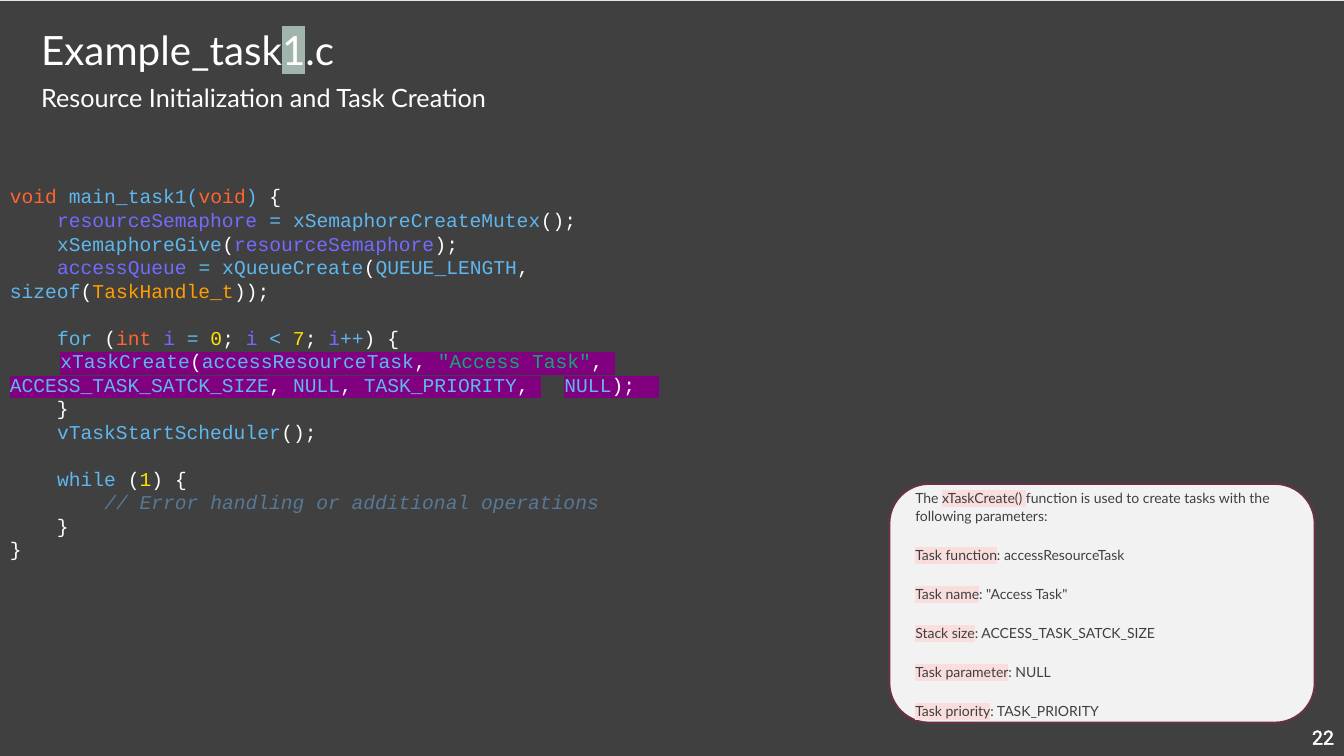
from dataclasses import dataclass
from typing import NamedTuple

import pptx
import pptx.dml.color
import pptx.enum.shapes
import pptx.enum.text
import pptx.oxml
import pptx.oxml.ns
import pptx.util
from pptx.util import Inches

COLOURS = {
    "background": "404040", "white": "FFFFFF", "sage": "A2B5AC",
    "card": "F2F2F2", "card_line": "673248", "pink": "FADDDD", "purple": "800080",
    "type": "FF652F", "name": "5EB7EE", "variable": "746AFF", "number": "FFE400",
    "string": "14A76C", "handle": "FF9D00", "comment": "577997",
}
ANCHOR = pptx.enum.text.MSO_ANCHOR
ALIGN = pptx.enum.text.PP_ALIGN
SHAPES = pptx.enum.shapes.MSO_SHAPE
CODE_PITCH = 16.8


class Run(NamedTuple):
    text: str
    colour: str = "white"
    highlight: str | None = None


@dataclass
class Line:
    runs: list[Run]
    space_before: float = 0


def rgb(colour: str) -> pptx.dml.color.RGBColor:
    return pptx.dml.color.RGBColor.from_string(COLOURS[colour])


def code(*tokens: tuple[str, str], gap: bool = False) -> Line:
    """A line of code from (text, colour) tokens, with an empty line above if gap."""
    return Line([Run(*token) for token in tokens], CODE_PITCH if gap else 0)


def marked(*tokens: tuple[str, str]) -> list[Run]:
    return [Run(text, colour, "purple") for text, colour in tokens]


def parameter(label: str, value: str) -> Line:
    return Line([Run(label, "background", "pink"), Run(f": {value}", "background")])


CODE = [
    code(("void ", "type"), ("main_task1(", "name"), ("void", "type"), (")", "name"), (" {", "white")),
    code(("    ", "white"), ("resourceSemaphore ", "variable"), ("= xSemaphoreCreateMutex", "name"),
         ("();", "white")),
    code(("    ", "white"), ("xSemaphoreGive", "name"), ("(", "white"),
         ("resourceSemaphore", "variable"), (");", "white")),
    code(("    ", "white"), ("accessQueue ", "variable"), ("= xQueueCreate", "name"), ("(", "white"),
         ("QUEUE_LENGTH", "name"), (", ", "white"), ("sizeof", "name"), ("(", "white"),
         ("TaskHandle_t", "handle"), ("));", "white")),
    code(("    ", "white"), ("for", "name"), (" (", "white"), ("int ", "type"), ("i ", "variable"),
         ("= ", "name"), ("0", "number"), ("; ", "white"), ("i ", "variable"), ("< ", "name"),
         ("7", "number"), ("; ", "white"), ("i", "variable"), ("++", "name"), (") {", "white"), gap=True),
    Line([
        Run("   \t", "comment"),
        *marked(("xTaskCreate", "name"), ("(", "white"), ("accessResourceTask", "name"), (", ", "white"),
                ('"Access Task"', "string"), (", ", "white")),
        Run("\t"),
        *marked(("ACCESS_TASK_SATCK_SIZE", "name"), (", ", "white"), ("NULL", "name"), (", ", "white"),
                ("TASK_PRIORITY", "name"), (", \t", "white"), ("NULL", "name"), (");  ", "white")),
    ]),
    code(("    }", "white")),
    code(("    ", "white"), ("vTaskStartScheduler", "name"), ("();", "white")),
    code(("    ", "white"), ("while", "name"), (" (", "white"), ("1", "number"), (") {", "white"), gap=True),
    code(("        ", "white"), ("// Error handling or additional operations", "comment")),
    code(("    }", "white")),
    code(("}", "white")),
]

PARAMETERS = [
    Line([Run("The ", "background"), Run("xTaskCreate() ", "background", "pink"),
          Run("function is used to create tasks with the following parameters:", "background")]),
    parameter("Task function", "accessResourceTask"),
    parameter("Task name", '"Access Task"'),
    parameter("Stack size", "ACCESS_TASK_SATCK_SIZE"),
    parameter("Task parameter", "NULL"),
    parameter("Task priority", "TASK_PRIORITY"),
]


def add_colour_element(properties, tag: str, colour: str, inner: str, index: int, **attributes: str) -> None:
    """Put a coloured child such as a:highlight or a:ln into run properties."""
    names = " ".join(f'{key}="{value}"' for key, value in attributes.items())
    value = f'<a:srgbClr val="{COLOURS[colour]}"/>'
    content = f"<a:{inner}>{value}</a:{inner}>" if inner else value
    namespace = pptx.oxml.ns.nsdecls("a")
    properties.insert(index, pptx.oxml.parse_xml(f"<a:{tag} {namespace} {names}>{content}</a:{tag}>"))


def add_text(slide, box: tuple[float, float, float, float], lines: list[Line], *, font: str, size: float,
             anchor=ANCHOR.TOP, align=ALIGN.LEFT, line_spacing: float | pptx.util.Pt | None = None,
             space_after: float = 0, outline: bool = False) -> None:
    frame = slide.shapes.add_textbox(*map(Inches, box)).text_frame
    frame.word_wrap = True
    frame.vertical_anchor = anchor
    for number, line in enumerate(lines):
        paragraph = frame.add_paragraph() if number else frame.paragraphs[0]
        paragraph.alignment = align
        paragraph.line_spacing = line_spacing
        paragraph.space_before = pptx.util.Pt(line.space_before)
        paragraph.space_after = pptx.util.Pt(space_after)
        for part in line.runs:
            run = paragraph.add_run()
            run.text = part.text
            run.font.size = pptx.util.Pt(size)
            run.font.italic = part.colour == "comment"
            run.font.color.rgb = rgb(part.colour)
            properties = run.font._element
            if part.highlight:
                add_colour_element(properties, "highlight", part.highlight, "", len(properties))
            if outline:
                add_colour_element(properties, "ln", part.colour, "solidFill", 0, w="9525")
            run.font.name = font


def add_panel(slide, kind, box: tuple[float, float, float, float], fill: str, line: str | None = None) -> None:
    shape = slide.shapes.add_shape(kind, *map(Inches, box))
    shape.shadow.inherit = False
    shape.fill.solid()
    shape.fill.fore_color.rgb = rgb(fill)
    if line:
        shape.line.color.rgb = rgb(line)
        shape.line.width = pptx.util.Pt(1.5)
    else:
        shape.line.fill.background()


def main() -> None:
    presentation = pptx.Presentation()
    presentation.slide_width = Inches(13.33)
    presentation.slide_height = Inches(7.5)
    slide = presentation.slides.add_slide(presentation.slide_layouts[6])

    add_panel(slide, SHAPES.RECTANGLE, (0, 0.01, 13.33, 7.49), "background")
    add_text(slide, (12.76, 7.11, 0.57, 0.4), [Line([Run("22")])], font="Roboto", size=14,
             anchor=ANCHOR.MIDDLE, align=ALIGN.RIGHT, outline=True)
    add_text(slide, (0, 1.78, 7.59, 3.96), CODE, font="Courier New", size=14,
             line_spacing=pptx.util.Pt(CODE_PITCH))
    add_text(slide, (0.31, 0.19, 4.16, 0.59),
             [Line([Run("Example_task"), Run("1", "white", "sage"), Run(".c")])],
             font="Lato", size=28.8, anchor=ANCHOR.BOTTOM)
    add_text(slide, (0.31, 0.77, 5.82, 0.4), [Line([Run("Resource Initialization and Task Creation")])],
             font="Lato", size=18)
    add_panel(slide, SHAPES.ROUNDED_RECTANGLE, (8.82, 4.8, 4.22, 2.37), "card", "card_line")
    add_text(slide, (8.98, 4.8, 3.81, 2.4), PARAMETERS, font="Lato", size=10,
             line_spacing=1.07, space_after=15)

    presentation.save("out.pptx")


if __name__ == "__main__":
    main()
